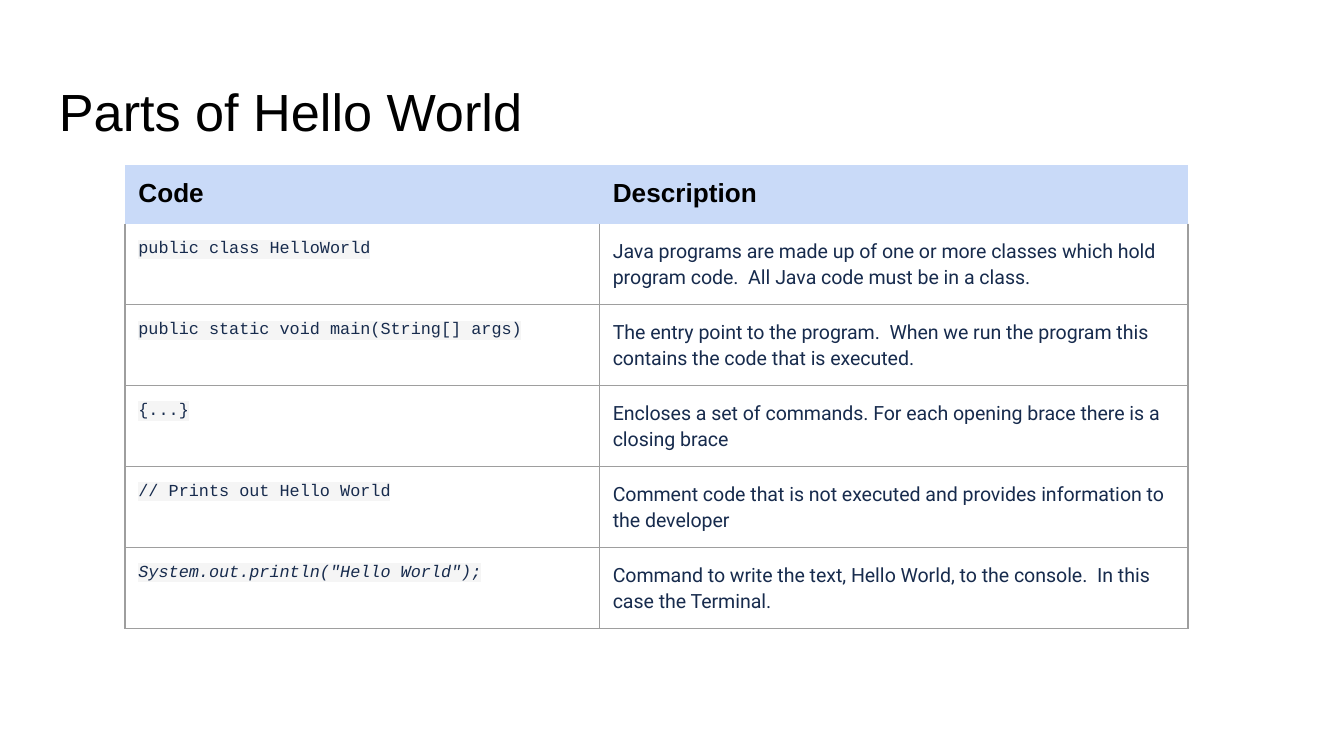
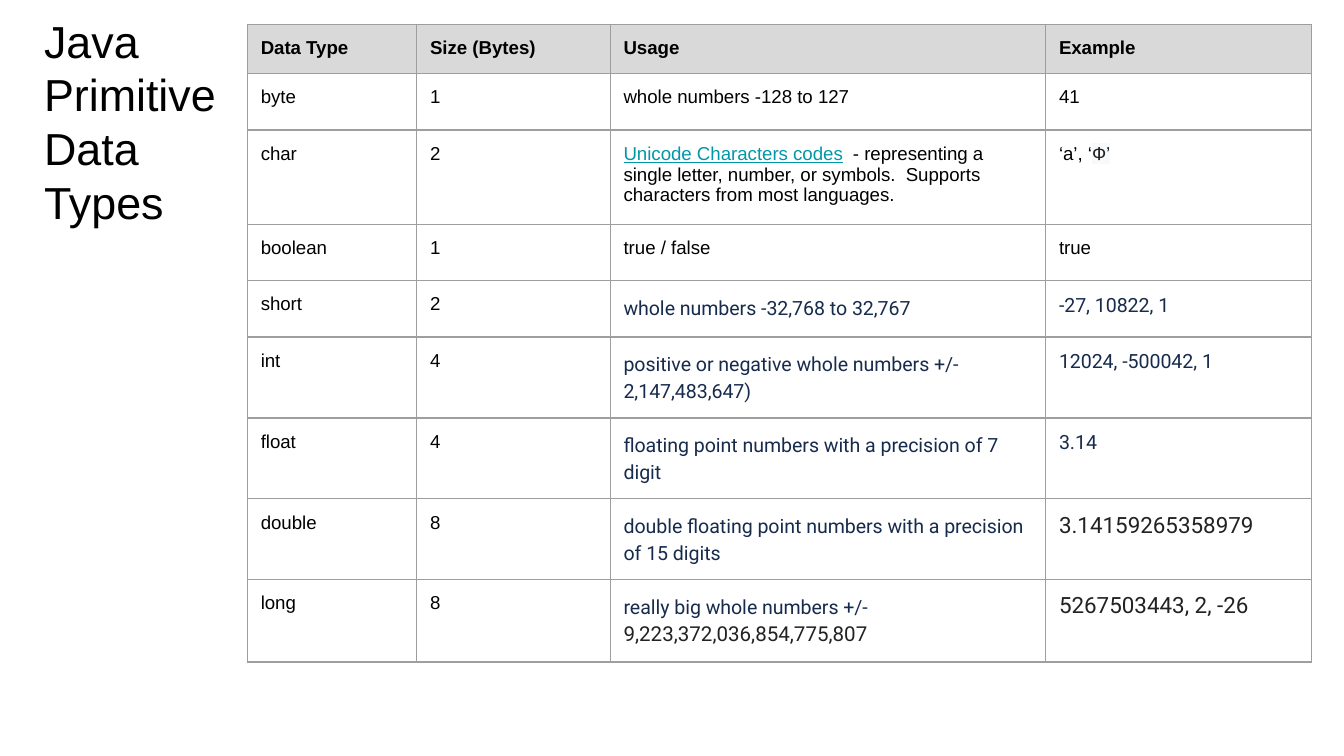
from dataclasses import dataclass, replace
from typing import NamedTuple

from lxml.etree import SubElement
from pptx import Presentation
from pptx.dml.color import RGBColor as Rgb
from pptx.enum.text import MSO_ANCHOR as Anchor
from pptx.oxml.ns import qn
from pptx.util import Inches, Pt


@dataclass(frozen=True)
class TextStyle:
    size: float
    font: str = "Arial"
    color: str = "000000"
    bold: bool = False
    italic: bool = False
    underline: bool = False
    highlight: str = ""
    line_spacing: float = 1.0
    space_before: float = 0


class Run(NamedTuple):
    text: str
    style: TextStyle


Cell = tuple[Run, ...]


@dataclass(frozen=True)
class Theme:
    background: str = "FFFFFF"
    border: str = "9E9E9E"
    border_width: float = 0.75
    inset: float = 0.1
    frame_side: float = 3.28
    blue_header: str = "C9DAF8"
    grey_header: str = "D9D9D9"
    title: TextStyle = TextStyle(28)
    side_title: TextStyle = TextStyle(24)
    large_header: TextStyle = TextStyle(14, bold=True)
    small_header: TextStyle = TextStyle(10, bold=True)
    plain: TextStyle = TextStyle(10)
    link: TextStyle = TextStyle(10, color="0097A7", underline=True)
    symbol: TextStyle = TextStyle(10, color="202122", highlight="F8F9FA")
    code: TextStyle = TextStyle(9, "Courier New", "172B4D", highlight="F5F5F5",
                                line_spacing=1.15, space_before=8)
    body: TextStyle = TextStyle(10.5, "Roboto", "172B4D",
                                line_spacing=1.15, space_before=8)
    sample: TextStyle = TextStyle(10.5, "Roboto", "172B4D")
    long_sample: TextStyle = TextStyle(12, "Roboto", "222222", highlight="FFFFFF")


THEME = Theme()
ITALIC_CODE = replace(THEME.code, italic=True)
LIMIT = replace(THEME.body, size=11, color="222222", highlight="FFFFFF")


@dataclass(frozen=True)
class Grid:
    left: float
    top: float
    column_widths: tuple[float, ...]
    row_heights: tuple[float, ...]
    header_fill: str
    header_lined: bool
    rows: list[tuple[Cell, ...]]


# Text
def write(paragraph, text: str, *, style: TextStyle) -> None:
    paragraph.line_spacing = style.line_spacing
    paragraph.space_before = Pt(style.space_before)
    run = paragraph.add_run()
    run.text = text
    font = run.font
    font.size, font.name = Pt(style.size), style.font
    font.bold, font.italic, font.underline = style.bold, style.italic, style.underline
    font.color.rgb = Rgb.from_string(style.color)
    if style.highlight:
        properties = run._r.get_or_add_rPr()
        highlight = SubElement(properties, qn("a:highlight"))
        SubElement(highlight, qn("a:srgbClr"), val=style.highlight)
        properties.find(qn("a:latin")).addprevious(highlight)


def set_insets(target) -> None:
    target.margin_left = target.margin_right = Inches(THEME.inset)
    target.margin_top = target.margin_bottom = Inches(THEME.inset)
    target.vertical_anchor = Anchor.TOP


def add_title(slide, lines: list[str], left: float, top: float, width: float,
              height: float, style: TextStyle) -> None:
    box = slide.shapes.add_textbox(Inches(left), Inches(top), Inches(width), Inches(height))
    frame = box.text_frame
    frame.word_wrap = True
    set_insets(frame)
    for index, line in enumerate(lines):
        write(frame.add_paragraph() if index else frame.paragraphs[0], line, style=style)


# Tables
def set_borders(cell, lined_sides: str) -> None:
    properties = cell._tc.get_or_add_tcPr()
    for position, side in enumerate("LRTB"):
        line = SubElement(properties, qn(f"a:ln{side}"), w=str(Pt(THEME.border_width)))
        if side in lined_sides:
            fill = SubElement(line, qn("a:solidFill"))
            SubElement(fill, qn("a:srgbClr"), val=THEME.border)
        else:
            SubElement(line, qn("a:noFill"))
        properties.insert(position, line)


def fill_cell(cell, runs: Cell, fill: str, lined_sides: str) -> None:
    set_insets(cell)
    if fill:
        cell.fill.solid()
        cell.fill.fore_color.rgb = Rgb.from_string(fill)
    else:
        cell.fill.background()
    set_borders(cell, lined_sides)
    for text, style in runs:
        write(cell.text_frame.paragraphs[0], text, style=style)


def add_grid(slide, grid: Grid) -> None:
    side = Inches(THEME.frame_side)
    holder = slide.shapes.add_table(len(grid.rows), len(grid.column_widths),
                                    Inches(grid.left), Inches(grid.top), side, side)
    table = holder.table
    table.first_row = table.horz_banding = False
    for column, width in zip(table.columns, grid.column_widths):
        column.width = Inches(width)
    for row, height in zip(table.rows, grid.row_heights):
        row.height = Inches(height)
    # Rows grow with their text, so the frame keeps its own size
    holder.width = holder.height = side
    for row_index, cells in enumerate(grid.rows):
        sides = "LRTB"
        if not grid.header_lined and row_index < 2:
            sides = "LRB" if row_index else ""
        fill = "" if row_index else grid.header_fill
        for column_index, runs in enumerate(cells):
            fill_cell(table.cell(row_index, column_index), runs, fill, sides)


def header(labels: list[str], style: TextStyle) -> tuple[Cell, ...]:
    return tuple((Run(label, style),) for label in labels)


def code_row(code: str, description: str, style: TextStyle = THEME.code) -> tuple[Cell, ...]:
    return (Run(code, style),), (Run(description, THEME.body),)


def type_row(name: str, size: str, usage: Cell, example: Cell) -> tuple[Cell, ...]:
    return plain(name), plain(size), usage, example


def plain(text: str) -> Cell:
    return (Run(text, THEME.plain),)


def body(text: str) -> Cell:
    return (Run(text, THEME.body),)


def sample(text: str, style: TextStyle = THEME.sample) -> Cell:
    return (Run(text, style),)


# Content
HELLO_WORLD = Grid(0.93, 1.23, (3.53, 4.38), (0.42,) * 6, THEME.blue_header, False, [
    header(["Code", "Description"], THEME.large_header),
    code_row("public class HelloWorld",
             "Java programs are made up of one or more classes which hold program code.  "
             "All Java code must be in a class."),
    code_row("public static void main(String[] args)",
             "The entry point to the program.  When we run the program this contains "
             "the code that is executed."),
    code_row("{...}",
             "Encloses a set of commands. For each opening brace there is a closing brace"),
    code_row("// Prints out Hello World",
             "Comment code that is not executed and provides information to the developer"),
    code_row('System.out.println("Hello World");',
             "Command to write the text, Hello World, to the console.  "
             "In this case the Terminal.", ITALIC_CODE),
])

DATA_TYPES = Grid(1.84, 0.18, (1.26, 1.44, 3.24, 1.98), (0.26,) + (0.42,) * 8,
                  THEME.grey_header, True, [
    header(["Data Type", "Size (Bytes)", "Usage", "Example"], THEME.small_header),
    type_row("byte", "1", plain("whole numbers -128 to 127"), plain("41")),
    type_row("char", "2",
             (Run("Unicode Characters codes", THEME.link),
              Run("  - representing a single letter, number, or symbols.  "
                  "Supports characters from most languages.", THEME.plain)),
             (Run("‘a’, ‘", THEME.plain), Run("Ф’", THEME.symbol))),
    type_row("boolean", "1", plain("true / false"), plain("true")),
    type_row("short", "2", body("whole numbers -32,768 to 32,767"), sample("-27, 10822, 1")),
    type_row("int", "4", body("positive or negative whole numbers +/- 2,147,483,647)"),
             sample("12024, -500042, 1")),
    type_row("float", "4", body("floating point numbers with a precision of 7 digit"),
             sample("3.14")),
    type_row("double", "8", body("double floating point numbers with a precision of 15 digits"),
             sample("3.14159265358979", THEME.long_sample)),
    type_row("long", "8",
             (Run("really big whole numbers +/- ", THEME.body),
              Run("9,223,372,036,854,775,807", LIMIT)),
             sample("5267503443, 2, -26", THEME.long_sample)),
])


# Slides
def add_slide(deck):
    slide = deck.slides.add_slide(deck.slide_layouts[6])
    slide.background.fill.solid()
    slide.background.fill.fore_color.rgb = Rgb.from_string(THEME.background)
    return slide


def main() -> None:
    deck = Presentation()
    deck.slide_width = Inches(10)
    deck.slide_height = deck.slide_width * 9 // 16

    hello_slide = add_slide(deck)
    add_title(hello_slide, ["Parts of Hello World"], 0.34, 0.49, 9.32, 0.63, THEME.title)
    add_grid(hello_slide, HELLO_WORLD)

    types_slide = add_slide(deck)
    add_title(types_slide, ["Java Primitive", "Data Types"], 0.23, 0, 1.6, 1.77,
              THEME.side_title)
    add_grid(types_slide, DATA_TYPES)

    deck.save("out.pptx")


if __name__ == "__main__":
    main()
